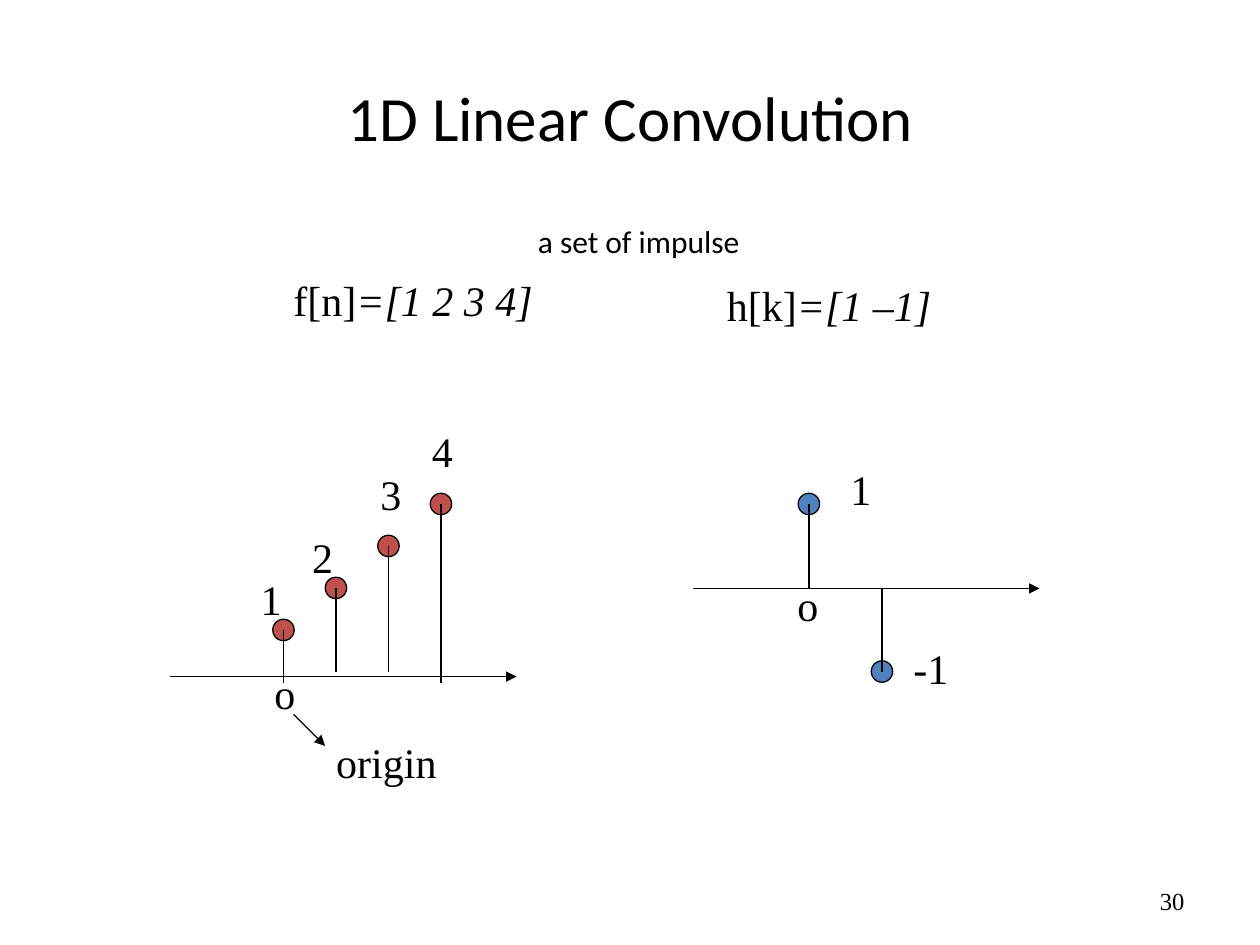
from dataclasses import dataclass

from lxml import etree
from pptx import Presentation
from pptx.dml.color import RGBColor
from pptx.enum.shapes import MSO_CONNECTOR, MSO_SHAPE
from pptx.enum.text import MSO_ANCHOR, MSO_AUTO_SIZE, PP_ALIGN
from pptx.oxml.ns import qn
from pptx.util import Inches, Pt

STRAIGHT = MSO_CONNECTOR.STRAIGHT
ELLIPSE = MSO_SHAPE.OVAL
TOP, MIDDLE = MSO_ANCHOR.TOP, MSO_ANCHOR.MIDDLE
FIT_SHAPE, NO_FIT = MSO_AUTO_SIZE.SHAPE_TO_FIT_TEXT, MSO_AUTO_SIZE.NONE
LEFT, CENTER, RIGHT = PP_ALIGN.LEFT, PP_ALIGN.CENTER, PP_ALIGN.RIGHT


@dataclass(frozen=True)
class Theme:
    ink: RGBColor = RGBColor(0x00, 0x00, 0x00)
    signal: RGBColor = RGBColor(0xC0, 0x50, 0x4D)
    kernel: RGBColor = RGBColor(0x4F, 0x81, 0xBD)
    heading_font: str = "Calibri"
    math_font: str = "Times New Roman"
    title_size: int = 36
    math_size: int = 24
    note_size: int = 18
    number_size: int = 14
    line_width: float = 0.75
    dot_size: float = 0.17


def add_run(paragraph, text, *, font, size, color, italic=False):
    run = paragraph.add_run()
    run.text = text
    run.font.name = font
    run.font.size = Pt(size)
    run.font.color.rgb = color
    run.font.italic = italic


class SlideBuilder:
    def __init__(self, slide, theme):
        self.slide = slide
        self.theme = theme

    def text(self, parts, left, top, width, height, *, font=None, size=None,
             align=LEFT, anchor=TOP, wrap=False):
        box = self.slide.shapes.add_textbox(
            Inches(left), Inches(top), Inches(width), Inches(height))
        frame = box.text_frame
        frame.word_wrap = wrap
        frame.auto_size = NO_FIT if wrap else FIT_SHAPE
        frame.vertical_anchor = anchor
        paragraph = frame.paragraphs[0]
        paragraph.alignment = align
        for words, italic in parts:
            add_run(paragraph, words, font=font or self.theme.math_font,
                    size=size or self.theme.math_size,
                    color=self.theme.ink, italic=italic)

    def label(self, words, left, top, width=0.37):
        self.text([(words, False)], left, top, width, 0.5)

    def formula(self, name, values, left, top, width):
        self.text([(name, False), (values, True)], left, top, width, 0.5)

    def line(self, x1, y1, x2, y2, arrow=False):
        connector = self.slide.shapes.add_connector(
            STRAIGHT, Inches(x1), Inches(y1), Inches(x2), Inches(y2))
        connector.line.color.rgb = self.theme.ink
        connector.line.width = Pt(self.theme.line_width)
        if arrow:
            outline = connector.line._get_or_add_ln()
            etree.SubElement(outline, qn("a:tailEnd"), type="triangle")
        etree.SubElement(connector._element.spPr, qn("a:effectLst"))

    def impulse(self, x, tip, base, color):
        size = self.theme.dot_size
        dot = self.slide.shapes.add_shape(
            ELLIPSE, Inches(x - size / 2), Inches(tip - size / 2),
            Inches(size), Inches(size))
        dot.shadow.inherit = False
        dot.fill.solid()
        dot.fill.fore_color.rgb = color
        dot.line.color.rgb = self.theme.ink
        dot.line.width = Pt(self.theme.line_width)
        self.line(x, tip, x, base)


def draw_headings(builder):
    theme = builder.theme
    builder.text([("1D Linear Convolution", False)], 0.5, 0.3, 9, 1.25,
                 font=theme.heading_font, size=theme.title_size,
                 align=CENTER, anchor=MIDDLE, wrap=True)
    builder.text([("a set of impulse", False)], 4.17, 1.71, 1.82, 0.4,
                 font=theme.heading_font, size=theme.note_size)
    builder.formula("f[n]", "=[1 2 3 4]", 2.23, 2.13, 2.14)
    builder.formula("h[k]", "=[1 –1]", 5.67, 2.17, 1.84)
    builder.text([("30", False)], 7.17, 6.95, 2.33, 0.4,
                 size=theme.number_size, align=RIGHT, anchor=MIDDLE, wrap=True)


def draw_signal(builder):
    first_x, first_tip = 2.25, 5
    x_step, tip_step = 5 / 12, 1 / 3
    builder.line(1.35, 5.37, 4.1, 5.37, arrow=True)
    samples = [(5.42, 1.97, 4.5), (5.33, 2.38, 4.17),
               (5.33, 2.92, 3.67), (5.42, 3.33, 3.33)]
    for index, (base, label_left, label_top) in enumerate(samples):
        builder.impulse(first_x + index * x_step, first_tip - index * tip_step,
                        base, builder.theme.signal)
        builder.label(str(index + 1), label_left, label_top)
    builder.label("o", 2.08, 5.25)
    builder.line(2.33, 5.67, 2.58, 5.92, arrow=True)
    builder.label("origin", 2.57, 5.8, width=1)


def draw_kernel(builder):
    axis = 4.67
    builder.line(5.5, axis, 8.25, axis, arrow=True)
    builder.impulse(6.42, 4, axis, builder.theme.kernel)
    builder.impulse(7, 5.33, axis, builder.theme.kernel)
    builder.label("1", 6.65, 3.63)
    builder.label("-1", 7.15, 5.05, width=0.48)
    builder.label("o", 6.23, 4.55)


def main():
    presentation = Presentation()
    presentation.slide_width = Inches(10)
    presentation.slide_height = Inches(7.5)
    slide = presentation.slides.add_slide(presentation.slide_layouts[6])
    builder = SlideBuilder(slide, Theme())
    draw_headings(builder)
    draw_kernel(builder)
    draw_signal(builder)
    presentation.save("out.pptx")


if __name__ == "__main__":
    main()
